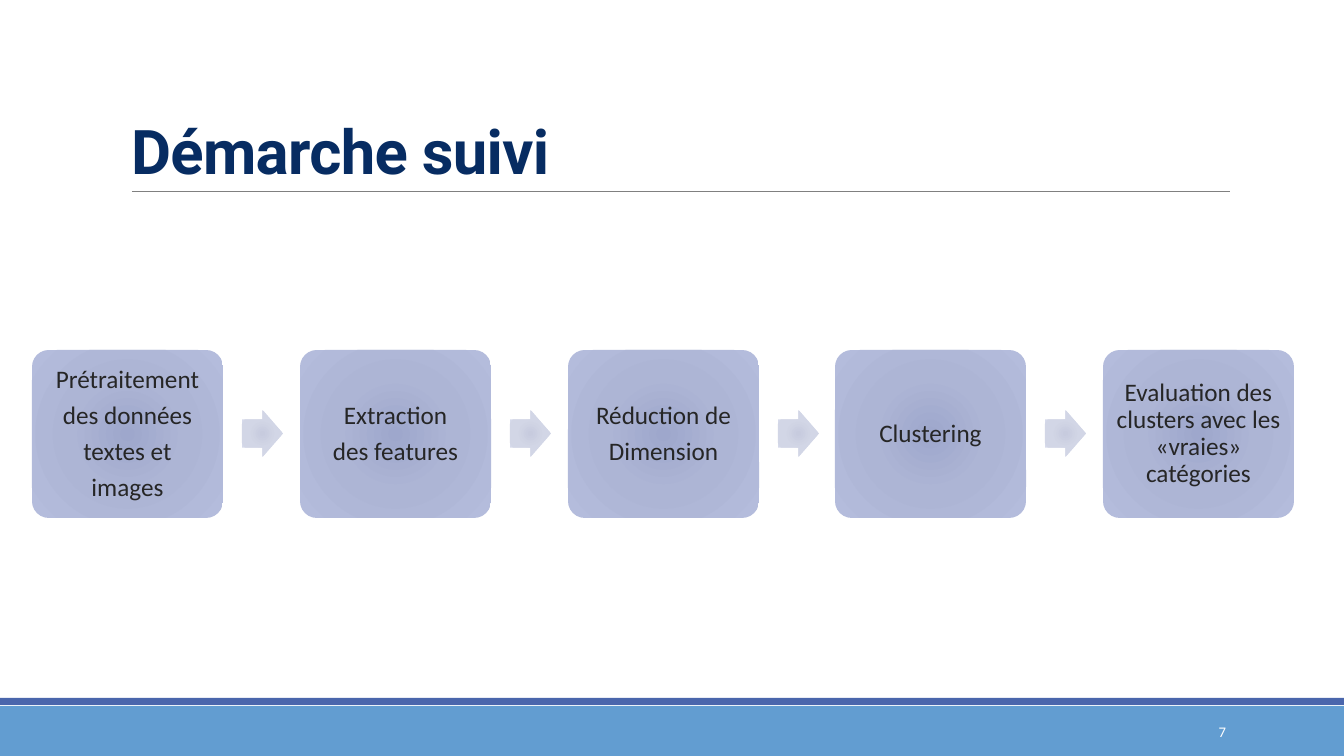
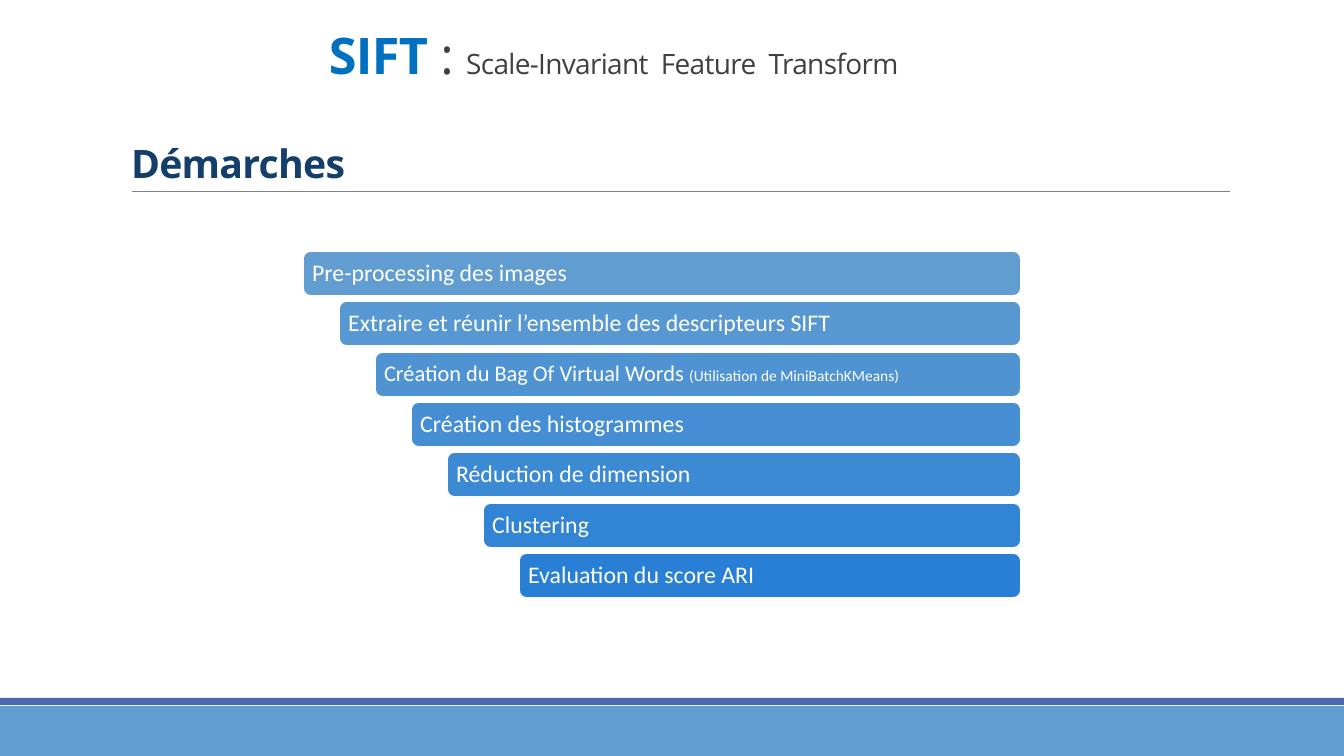
from dataclasses import dataclass

from pptx import Presentation
from pptx.dml.color import RGBColor
from pptx.enum.shapes import MSO_CONNECTOR, MSO_SHAPE
from pptx.enum.text import MSO_ANCHOR, MSO_AUTO_SIZE, PP_ALIGN
from pptx.oxml import parse_xml
from pptx.oxml.ns import nsdecls, qn
from pptx.shapes.autoshape import Shape
from pptx.slide import Slide
from pptx.text.text import TextFrame
from pptx.util import Emu, Pt

EMU_PER_PIXEL = 914400 / 100.8
SLIDE_WIDTH, SLIDE_HEIGHT = 1344, 756
TITLE_ONLY = 5
INSET = 7

COLORS = {
    "band": "629DD1",
    "stripe": "4A66AC",
    "rule": "808080",
    "white": "FFFFFF",
    "title": "072C62",
    "subtitle": "143F6A",
    "accent": "0070C0",
    "heading": "404040",
    "step": "262626",
    "first_bar": "629DD1",
    "last_bar": "297FD5",
}
STEP_GRADIENT = ((0, "9EA7CC"), (45, "ADB5D5"), (100, "B4BCDC"))
ARROW_GRADIENT = ((0, "C7CBDE"), (45, "D2D6E6"), (100, "D6DAEB"))


@dataclass(frozen=True)
class Area:
    left: int
    top: int
    width: int
    height: int

    def lengths(self) -> tuple[Emu, Emu, Emu, Emu]:
        return (pixels(self.left), pixels(self.top),
                pixels(self.width), pixels(self.height))


@dataclass(frozen=True)
class Span:
    text: str
    size: float
    color: str
    font: str = "Calibri"
    bold: bool = False
    tracking: float = 0


@dataclass(frozen=True)
class TextStyle:
    align: PP_ALIGN = PP_ALIGN.LEFT
    anchor: MSO_ANCHOR = MSO_ANCHOR.MIDDLE
    line_spacing: float = 1.0
    space_after: float = 0
    inset: int | None = None


STEP_STYLE = TextStyle(PP_ALIGN.CENTER, line_spacing=0.9, space_after=6.3, inset=INSET)
BAR_STYLE = TextStyle(line_spacing=0.9, space_after=6, inset=INSET)
TITLE_STYLE = TextStyle(anchor=MSO_ANCHOR.BOTTOM, line_spacing=0.85)
HEADING_STYLE = TextStyle(anchor=MSO_ANCHOR.TOP, line_spacing=0.85)
NUMBER_STYLE = TextStyle(PP_ALIGN.RIGHT)

STEPS = (
    ("Prétraitement", "des données", "textes et", "images"),
    ("Extraction", "des features"),
    ("Réduction de", "Dimension"),
    ("Clustering",),
    ("Evaluation des clusters avec les «vraies» catégories",),
)


def bar_span(text: str, size: float = 17) -> Span:
    return Span(text, size, COLORS["white"])


BARS = (
    (bar_span("Pre-processing des images"),),
    (bar_span("Extraire et réunir l’ensemble des descripteurs SIFT"),),
    (bar_span("Création du Bag Of Virtual Words ", 16),
     bar_span("(Utilisation de MiniBatchKMeans)", 11)),
    (bar_span("Création des histogrammes"),),
    (bar_span("Réduction de dimension"),),
    (bar_span("Clustering"),),
    (bar_span("Evaluation du score ARI"),),
)


def pixels(count: float) -> Emu:
    return Emu(round(count * EMU_PER_PIXEL))


def spread(first: int, last: int, index: int, count: int) -> int:
    return round(first + (last - first) * index / (count - 1))


def blend(first: str, last: str, index: int, count: int) -> str:
    pairs = zip(RGBColor.from_string(first), RGBColor.from_string(last))
    return str(RGBColor(*(spread(start, end, index, count) for start, end in pairs)))


def write_text(frame: TextFrame, lines: list[tuple[Span, ...]], style: TextStyle) -> None:
    frame.text = "\n".join(spans[0].text for spans in lines)
    frame.word_wrap = True
    frame.auto_size = MSO_AUTO_SIZE.NONE
    frame.vertical_anchor = style.anchor
    if style.inset is not None:
        frame.margin_left = frame.margin_right = pixels(style.inset)
        frame.margin_top = frame.margin_bottom = pixels(style.inset)
    for para, spans in zip(frame.paragraphs, lines):
        para.alignment = style.align
        para.line_spacing = style.line_spacing
        para.space_after = Pt(style.space_after)
        for span in spans[1:]:
            para.add_run().text = span.text
        for run, span in zip(para.runs, spans):
            run.font.size = Pt(span.size)
            run.font.name = span.font
            run.font.bold = span.bold
            run.font.color.rgb = RGBColor.from_string(span.color)
            if span.tracking:
                run.font._element.set("spc", str(round(span.tracking * 100)))


def add_box(slide: Slide, kind: MSO_SHAPE, area: Area, color: str | None = None) -> Shape:
    box = slide.shapes.add_shape(kind, *area.lengths())
    box.shadow.inherit = False
    box.line.fill.background()
    if color:
        box.fill.solid()
        box.fill.fore_color.rgb = RGBColor.from_string(color)
    return box


def fill_radial(box: Shape, stops: tuple[tuple[int, str], ...]) -> None:
    box.fill.background()
    stop_list = "".join(
        f'<a:gs pos="{position * 1000}"><a:srgbClr val="{color}"/></a:gs>'
        for position, color in stops
    )
    gradient = parse_xml(
        f'<a:gradFill {nsdecls("a")} rotWithShape="1"><a:gsLst>{stop_list}</a:gsLst>'
        '<a:path path="circle"><a:fillToRect l="100000" t="100000" r="100000" b="100000"/>'
        '</a:path></a:gradFill>'
    )
    properties = box._element.spPr
    properties.replace(properties.find(qn("a:noFill")), gradient)


def add_text(slide: Slide, area: Area, spans: tuple[Span, ...], style: TextStyle) -> None:
    box = slide.shapes.add_textbox(*area.lengths())
    write_text(box.text_frame, [spans], style)


def add_page(deck: Presentation, title: Span, area: Area) -> Slide:
    slide = deck.slides.add_slide(deck.slide_layouts[TITLE_ONLY])
    add_box(slide, MSO_SHAPE.RECTANGLE, Area(0, 706, SLIDE_WIDTH, 50), COLORS["band"])
    add_box(slide, MSO_SHAPE.RECTANGLE, Area(0, 698, SLIDE_WIDTH, 7), COLORS["stripe"])
    rule = slide.shapes.add_connector(
        MSO_CONNECTOR.STRAIGHT, pixels(132), pixels(191), pixels(1230), pixels(191)
    )
    rule.line.color.rgb = RGBColor.from_string(COLORS["rule"])
    rule.line.width = Pt(0.5)
    rule._element.spPr.append(parse_xml(f'<a:effectLst {nsdecls("a")}/>'))
    placeholder = slide.shapes.title
    placeholder.left, placeholder.top, placeholder.width, placeholder.height = area.lengths()
    write_text(placeholder.text_frame, [(title,)], TITLE_STYLE)
    return slide


def build_process_page(deck: Presentation) -> None:
    title = Span("Démarche suivi", 44, COLORS["title"], "Roboto", True, -0.5)
    slide = add_page(deck, title, Area(121, 97, 1109, 95))
    add_text(slide, Area(1092, 712, 144, 40),
             (Span("7", 10.5, COLORS["white"]),), NUMBER_STYLE)
    for index, lines in enumerate(STEPS):
        left = spread(32, 1103, index, len(STEPS))
        step = add_box(slide, MSO_SHAPE.ROUNDED_RECTANGLE, Area(left, 350, 191, 168))
        step.adjustments[0] = 0.1
        fill_radial(step, STEP_GRADIENT)
        spans = [(Span(line, 18, COLORS["step"]),) for line in lines]
        write_text(step.text_frame, spans, STEP_STYLE)
        if index < len(STEPS) - 1:
            arrow = add_box(slide, MSO_SHAPE.RIGHT_ARROW, Area(left + 210, 410, 41, 47))
            arrow.adjustments[0] = 0.6
            arrow.adjustments[1] = 0.5
            fill_radial(arrow, ARROW_GRADIENT)


def build_sift_page(deck: Presentation) -> None:
    title = Span("Démarches", 28, COLORS["subtitle"], "Open Sans", True, -0.5)
    slide = add_page(deck, title, Area(121, 128, 616, 64))
    right = 1021
    for index, spans in enumerate(BARS):
        left = spread(303, 519, index, len(BARS))
        top = spread(251, 553, index, len(BARS))
        color = blend(COLORS["first_bar"], COLORS["last_bar"], index, len(BARS))
        bar = add_box(slide, MSO_SHAPE.ROUNDED_RECTANGLE,
                      Area(left, top, right - left, 45), color)
        bar.line.color.rgb = RGBColor.from_string(COLORS["white"])
        bar.line.width = Pt(1.25)
        write_text(bar.text_frame, [spans], BAR_STYLE)
    heading = (
        Span("SIFT ", 36, COLORS["accent"], "Open Sans", True, -0.5),
        Span(": ", 36, COLORS["heading"], "Open Sans", False, -0.5),
        Span("Scale-Invariant  Feature  Transform", 20, COLORS["heading"],
             "Open Sans", False, -0.5),
    )
    add_text(slide, Area(319, 28, 745, 64), heading, HEADING_STYLE)


def main() -> None:
    deck = Presentation()
    deck.slide_width = pixels(SLIDE_WIDTH)
    deck.slide_height = pixels(SLIDE_HEIGHT)
    build_process_page(deck)
    build_sift_page(deck)
    deck.save("out.pptx")


main()
